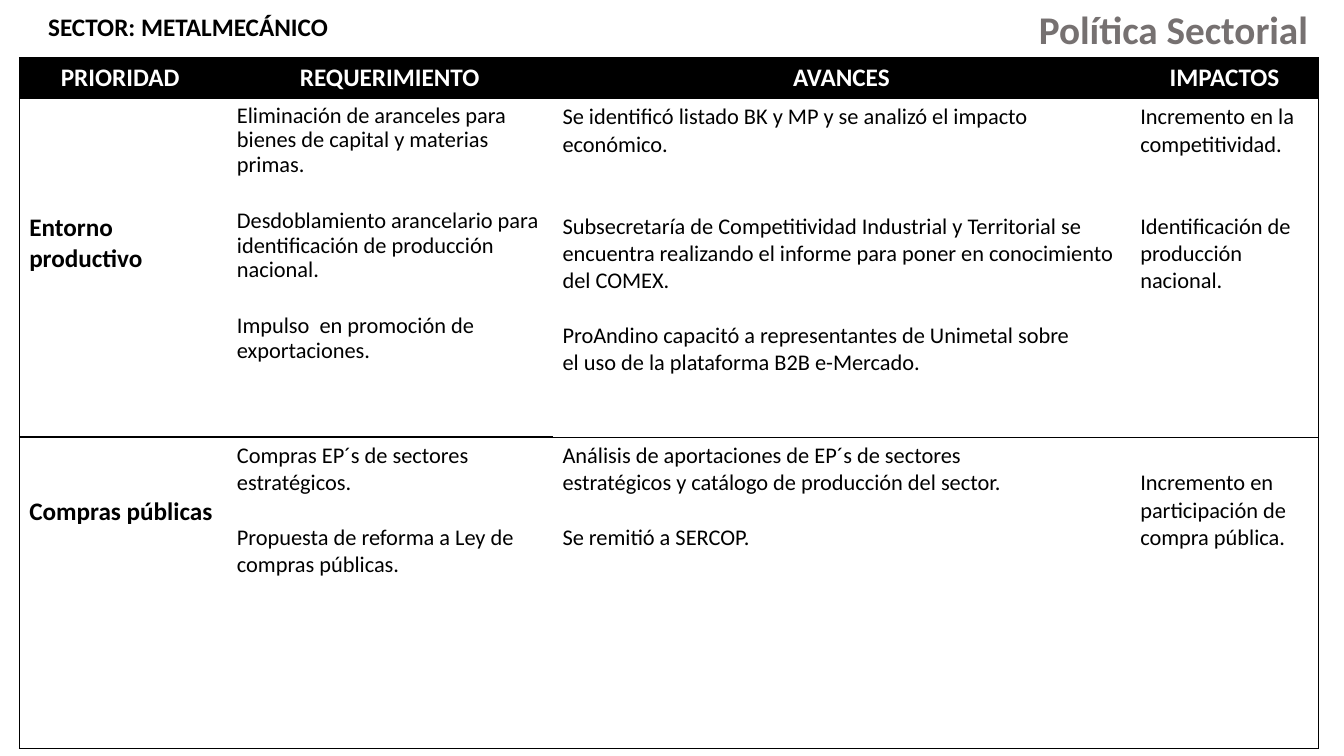
"""Build the sector policy slide for the metalworking industry."""
from lxml import etree
from pptx import Presentation, util as u
from pptx.dml.color import RGBColor
from pptx.enum import text
from pptx.oxml import ns

COLORS = {"ink": "000000", "paper": "FFFFFF", "title": "767171"}
FONT = "Calibri"
TITLE = "Política Sectorial "
SECTOR = "SECTOR: METALMECÁNICO"
HEADERS = ["PRIORIDAD ", "REQUERIMIENTO", "AVANCES", "IMPACTOS"]
ROWS = [
    [
        ["Entorno productivo"],
        ["Eliminación de aranceles para bienes de capital y materias primas.",
         "Desdoblamiento arancelario para identificación de producción nacional.",
         "Impulso  en promoción de exportaciones."],
        ["Se identificó listado BK y MP y se analizó el impacto\neconómico.",
         "Subsecretaría de Competitividad Industrial y Territorial se\n"
         "encuentra realizando el informe para poner en conocimiento\ndel COMEX.",
         "ProAndino capacitó a representantes de Unimetal sobre\n"
         "el uso de la plataforma B2B e-Mercado."],
        ["Incremento en la competitividad.",
         "Identificación de producción nacional."],
    ],
    [
        ["Compras públicas"],
        ["Compras EP´s de sectores estratégicos.",
         "Propuesta de reforma a Ley de compras públicas."],
        ["Análisis de aportaciones de EP´s de sectores\n"
         "estratégicos y catálogo de producción del sector.",
         "Se remitió a SERCOP."],
        ["Incremento en\nparticipación de\ncompra pública."],
    ],
]
TABLE_LEFT, TABLE_TOP = 0.19, 0.57
COLUMN_WIDTHS = [2.06, 3.23, 5.73, 1.87]
ROW_HEIGHTS = [0.4, 3.36, 3.09]
LINE = 19.5
LEAD_LINES = {(1, 0): 4, (2, 0): 2, (2, 3): 1}
BLOCK_GAPS = {(1, 1): [22.5, 22.5], (1, 2): [2 * LINE, LINE], (1, 3): [2 * LINE]}
TIGHT_CELL = (1, 1)


def write(frame, blocks, size=16, color="ink", bold=False, align="LEFT", spacing=1.0, gaps=()):
    """Fill a text frame with blocks, one paragraph for each line."""
    frame.word_wrap = True
    paragraph = None
    for index, block in enumerate(blocks):
        for number, line in enumerate(block.split("\n")):
            paragraph = frame.add_paragraph() if paragraph is not None else frame.paragraphs[0]
            paragraph.alignment = getattr(text.PP_ALIGN, align)
            paragraph.line_spacing = spacing
            first = index > 0 and number == 0
            paragraph.space_before = u.Pt(gaps[index - 1] if first and gaps else LINE if first else 0)
            run = paragraph.add_run()
            run.text = line
            run.font.name, run.font.size, run.font.bold = FONT, u.Pt(size), bold
            run.font.color.rgb = RGBColor.from_string(COLORS[color])


def set_borders(cell, widths):
    """Draw the given sides of a cell and clear the others."""
    properties = cell._tc.get_or_add_tcPr()
    for side in "LRTB":
        line = etree.SubElement(properties, ns.qn("a:ln" + side))
        if side in widths:
            line.set("w", str(u.Pt(widths[side])))
            fill = etree.SubElement(line, ns.qn("a:solidFill"))
            etree.SubElement(fill, ns.qn("a:srgbClr")).set("val", COLORS["ink"])
        else:
            line.set("w", "0")
            etree.SubElement(line, ns.qn("a:noFill"))


def border_widths(row, column):
    """Return the visible border widths of a cell by its place in the table."""
    widths = {"T": 0.5}
    if column == 0:
        widths["L"] = 0.5
    if column == len(HEADERS) - 1:
        widths["R"] = 0.5
    divider = 1 if column < 2 else 0.5
    if row == 1:
        widths["B"] = divider
    if row == 2:
        widths.update(T=divider, B=1)
    return widths


def add_policy_table(slide):
    """Add the table of priorities."""
    grid = [[[header] for header in HEADERS]] + ROWS
    table = slide.shapes.add_table(
        len(grid), len(HEADERS), u.Inches(TABLE_LEFT), u.Inches(TABLE_TOP),
        u.Inches(sum(COLUMN_WIDTHS)), u.Inches(sum(ROW_HEIGHTS))).table
    table.horz_banding = False
    for column, width in zip(table.columns, COLUMN_WIDTHS):
        column.width = u.Inches(width)
    for row, (height, cells) in enumerate(zip(ROW_HEIGHTS, grid)):
        table.rows[row].height = u.Inches(height)
        for column, blocks in enumerate(cells):
            cell, place = table.cell(row, column), (row, column)
            header = row == 0
            strong = header or column == 0
            set_borders(cell, border_widths(row, column))
            cell.fill.solid()
            cell.fill.fore_color.rgb = RGBColor.from_string(COLORS["ink" if header else "paper"])
            cell.margin_top = u.Inches(0.05) + u.Pt(LINE * LEAD_LINES.get(place, 0))
            write(cell.text_frame, blocks, size=18 if strong else 16, bold=strong,
                  color="paper" if header else "ink", align="CENTER" if header else "LEFT",
                  spacing=0.9 if place == TIGHT_CELL else 1.0, gaps=BLOCK_GAPS.get(place, ()))


def main():
    """Create the slide and save it."""
    presentation = Presentation()
    presentation.slide_width, presentation.slide_height = u.Inches(13.33), u.Inches(7.5)
    slide = presentation.slides.add_slide(presentation.slide_layouts[5])
    add_policy_table(slide)
    sector = slide.shapes.add_textbox(u.Inches(0.38), u.Inches(0.06), u.Inches(3.33), u.Inches(0.4))
    write(sector.text_frame, [SECTOR], size=18, bold=True)
    title = slide.shapes.title
    title.left, title.top = u.Inches(8.85), 0
    title.width, title.height = u.Inches(4.31), u.Inches(0.57)
    title.text_frame.auto_size = text.MSO_AUTO_SIZE.NONE
    title.text_frame.vertical_anchor = text.MSO_ANCHOR.TOP
    write(title.text_frame, [TITLE], size=28, color="title", bold=True, align="RIGHT")
    presentation.save("out.pptx")


if __name__ == "__main__":
    main()
